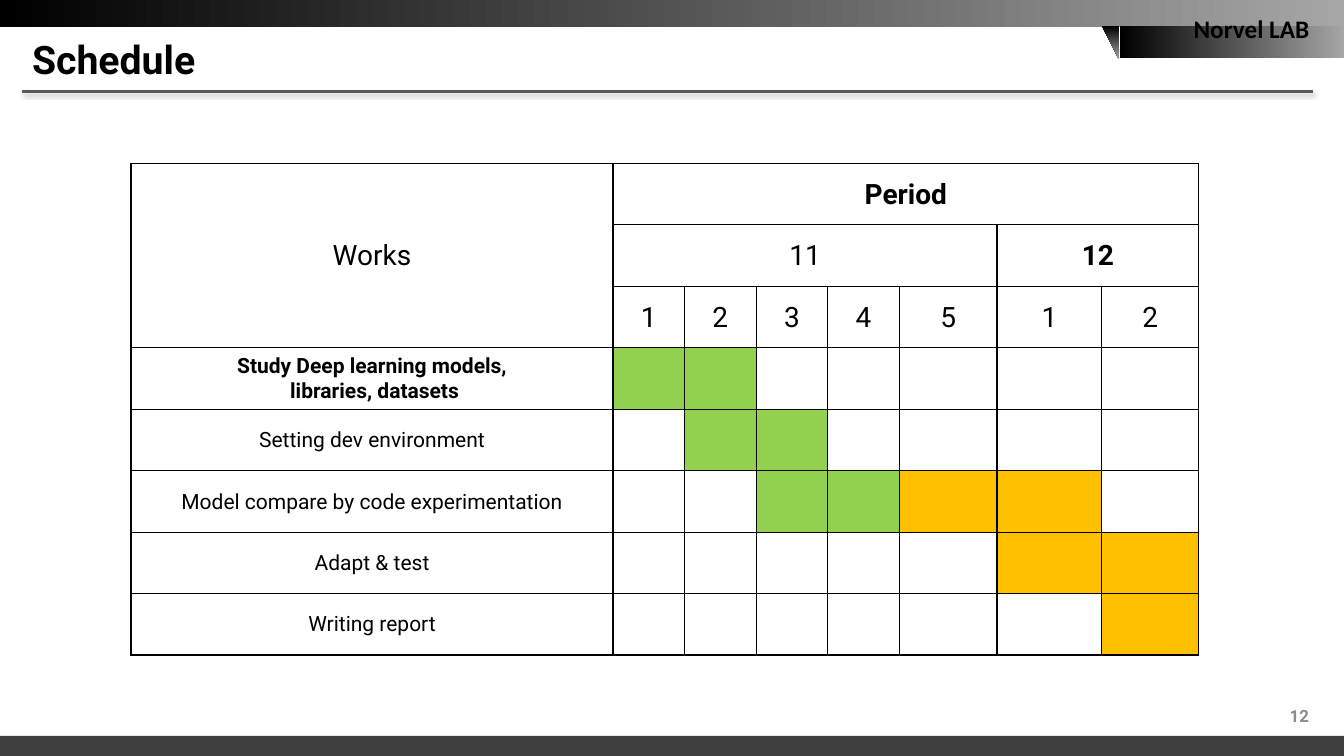
from lxml.etree import SubElement
from pptx import Presentation
from pptx.dml.color import RGBColor
from pptx.enum.shapes import MSO_CONNECTOR, MSO_SHAPE
from pptx.enum.text import MSO_ANCHOR, PP_ALIGN
from pptx.oxml import parse_xml
from pptx.oxml.ns import nsdecls, qn
from pptx.util import Inches, Pt

BLACK = "000000"
DONE = "92D050"
PLANNED = "FFC000"
COLUMN_WIDTHS = [4.78, 0.71, 0.71, 0.71, 0.71, 0.97, 1.04, 0.96]
ROW_HEIGHT = 0.61
WEEKS = ["1", "2", "3", "4", "5", "1", "2"]
WORKS = [
    ("Study Deep learning models,\n libraries, datasets", {1: DONE, 2: DONE}),
    ("Setting dev environment", {2: DONE, 3: DONE}),
    ("Model compare by code experimentation", {3: DONE, 4: DONE, 5: PLANNED, 6: PLANNED}),
    ("Adapt & test", {6: PLANNED, 7: PLANNED}),
    ("Writing report", {7: PLANNED}),
]


def color(value):
    return RGBColor.from_string(value)


def write(frame, text, size, bold=False, font="Roboto", ink=BLACK, align=PP_ALIGN.LEFT):
    para = frame.paragraphs[0]
    para.alignment = align
    for number, line in enumerate(text.split("\n")):
        if number:
            para.add_line_break()
        span = para.add_run()
        span.text = line
        span.font.name = font
        span.font.size = Pt(size)
        span.font.bold = bold
        span.font.color.rgb = color(ink)


def add_text(page, place, text, size, anchor=MSO_ANCHOR.TOP, wrap=True, **style):
    box = page.shapes.add_textbox(*map(Inches, place))
    box.text_frame.word_wrap = wrap
    box.text_frame.vertical_anchor = anchor
    write(box.text_frame, text, size, bold=True, **style)


def add_band(page, kind, place):
    band = page.shapes.add_shape(kind, *map(Inches, place))
    band.shadow.inherit = False
    band.line.fill.background()
    return band


def add_gradient_band(page, kind, place):
    band = add_band(page, kind, place)
    band.fill.gradient()
    band.fill.gradient_angle = 0
    for stop, shade in zip(band.fill.gradient_stops, (BLACK, "A6A6A6")):
        stop.color.rgb = color(shade)
    return band


def add_title_rule(page):
    rule = page.shapes.add_connector(
        MSO_CONNECTOR.STRAIGHT, Inches(0.22), Inches(0.91), Inches(13.02), Inches(0.91)
    )
    rule.line.color.rgb = color("595959")
    rule.line.width = Pt(2)
    rule.element.spPr.append(parse_xml(
        f'<a:effectLst {nsdecls("a")}>'
        f'<a:outerShdw blurRad="{Pt(3.1)}" dist="{Pt(1.6)}" dir="5400000" rotWithShape="0">'
        '<a:srgbClr val="000000"><a:alpha val="38000"/></a:srgbClr>'
        '</a:outerShdw></a:effectLst>'
    ))


def add_borders(cell):
    properties = cell._tc.get_or_add_tcPr()
    for position, side in enumerate(("lnL", "lnR", "lnT", "lnB")):
        border = SubElement(properties, qn(f"a:{side}"), w=str(Pt(1)))
        fill = SubElement(border, qn("a:solidFill"))
        SubElement(fill, qn("a:srgbClr"), val=BLACK)
        properties.insert(position, border)


def style_cell(cell, fill=None):
    cell.vertical_anchor = MSO_ANCHOR.MIDDLE
    cell.margin_left = cell.margin_right = cell.margin_top = Inches(0.01)
    cell.margin_bottom = 0
    if fill:
        cell.fill.solid()
        cell.fill.fore_color.rgb = color(fill)
    else:
        cell.fill.background()
    add_borders(cell)


def add_schedule(page):
    row_count = 3 + len(WORKS)
    table = page.shapes.add_table(
        row_count, len(COLUMN_WIDTHS), Inches(1.3), Inches(1.62),
        Inches(sum(COLUMN_WIDTHS)), Inches(ROW_HEIGHT * row_count),
    ).table
    table.first_row = table.horz_banding = False
    for column, width in zip(table.columns, COLUMN_WIDTHS):
        column.width = Inches(width)
    for row in table.rows:
        row.height = Inches(ROW_HEIGHT)

    for row in range(row_count):
        fills = WORKS[row - 3][1] if row >= 3 else {}
        for column in range(len(COLUMN_WIDTHS)):
            style_cell(table.cell(row, column), fills.get(column))

    headings = [
        ((0, 0), (2, 0), "Works", False),
        ((0, 1), (0, 7), "Period", True),
        ((1, 1), (1, 5), "11", False),
        ((1, 6), (1, 7), "12", True),
    ]
    for first, last, text, bold in headings:
        table.cell(*first).merge(table.cell(*last))
        write(table.cell(*first).text_frame, text, 20, bold, align=PP_ALIGN.CENTER)
    for column, week in enumerate(WEEKS, 1):
        write(table.cell(2, column).text_frame, week, 20, align=PP_ALIGN.CENTER)
    for row, (work, _) in enumerate(WORKS, 3):
        write(table.cell(row, 0).text_frame, work, 15, bold=row == 3, align=PP_ALIGN.CENTER)


def main():
    deck = Presentation()
    deck.slide_width = Inches(13.33)
    deck.slide_height = Inches(7.5)
    page = deck.slides.add_slide(deck.slide_layouts[6])

    footer = add_band(page, MSO_SHAPE.RECTANGLE, (0, 7.3, 13.33, 0.23))
    footer.fill.solid()
    footer.fill.fore_color.rgb = color("404040")
    add_gradient_band(page, MSO_SHAPE.RECTANGLE, (0, 0, 13.33, 0.27))
    add_title_rule(page)
    fold = add_gradient_band(page, MSO_SHAPE.RIGHT_TRIANGLE, (10.85, 0.34, 0.33, 0.17))
    fold.rotation = 270
    fold.element.spPr.xfrm.set("flipH", "1")
    add_gradient_band(page, MSO_SHAPE.RECTANGLE, (11.11, 0.26, 2.23, 0.32))

    add_text(page, (11.74, 0.08, 1.38, 0.4), "Norvel LAB", 18, wrap=False, font="Calibri")
    add_text(page, (0.22, 0.33, 12.6, 0.51), "Schedule", 28, MSO_ANCHOR.MIDDLE)
    add_text(page, (12.09, 6.98, 0.99, 0.27), "12", 12, MSO_ANCHOR.BOTTOM,
             ink="8C8C8C", align=PP_ALIGN.RIGHT)
    add_schedule(page)
    deck.save("out.pptx")


if __name__ == "__main__":
    main()
